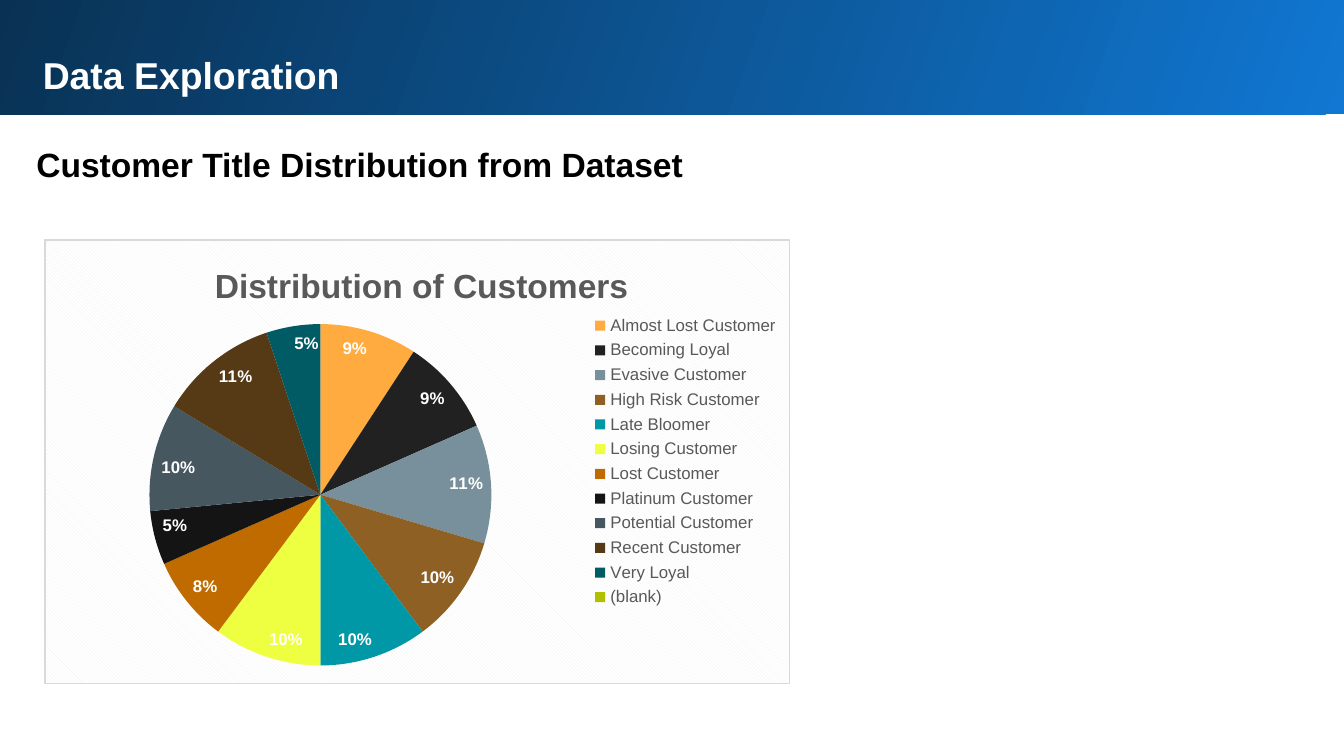
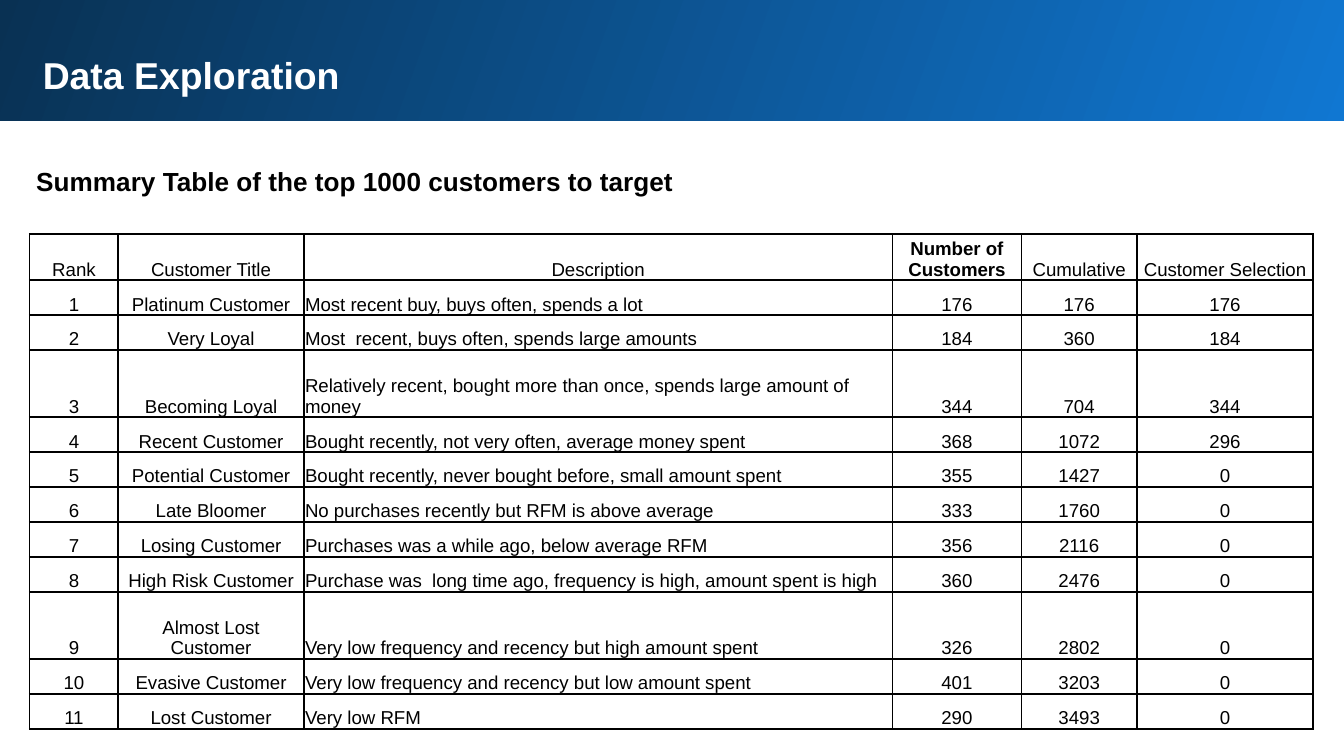
from dataclasses import dataclass
from itertools import accumulate
from typing import Any, NamedTuple

from lxml.etree import SubElement
from pptx import Presentation
from pptx.chart.data import CategoryChartData as ChartData
from pptx.dml.color import RGBColor
from pptx.enum.chart import XL_CHART_TYPE as ChartType
from pptx.enum.chart import XL_LABEL_POSITION as LabelPosition
from pptx.enum.chart import XL_LEGEND_POSITION as LegendPosition
from pptx.enum.dml import MSO_PATTERN as Pattern
from pptx.enum.shapes import MSO_SHAPE as Shape
from pptx.enum.text import MSO_ANCHOR as Anchor
from pptx.enum.text import MSO_AUTO_SIZE as AutoSize
from pptx.enum.text import PP_ALIGN as Align
from pptx.oxml import parse_xml
from pptx.oxml.ns import nsdecls, qn
from pptx.slide import Slide
from pptx.util import Inches, Pt

WHITE = RGBColor(0xFF, 0xFF, 0xFF)
BLACK = RGBColor(0x00, 0x00, 0x00)
GREY = RGBColor(0x59, 0x59, 0x59)
PALE = RGBColor(0xF2, 0xF2, 0xF2)
FRAME = RGBColor(0xD9, 0xD9, 0xD9)
BRIGHT = RGBColor(0x10, 0x77, 0xD2)
NAVY = RGBColor(0x09, 0x31, 0x53)

FONT = "Arial"
GRID = Inches(0.1)
COLUMNS, ROWS = 100, 56.25
TARGET = 1000


class Area(NamedTuple):
    left: float
    top: float
    width: float
    height: float

    def lengths(self) -> list[int]:
        return [round(cells * GRID) for cells in self]


class Share(NamedTuple):
    x: float
    y: float
    w: float | None = None
    h: float | None = None


class Slice(NamedTuple):
    title: str
    percent: int | None
    color: RGBColor


class Segment(NamedTuple):
    title: str
    description: str
    customers: int
    tall: bool = False


@dataclass(frozen=True)
class Text:
    words: str
    area: Area
    size: float
    color: RGBColor = BLACK
    inset: float = 0.5


HEADING = Text("Data Exploration", Area(2.2, 2.9, 93.7, 5.1), 20, WHITE, 1)

SLICES = [
    Slice("Almost Lost Customer", 9, RGBColor(0xFF, 0xAB, 0x40)),
    Slice("Becoming Loyal", 9, RGBColor(0x21, 0x21, 0x21)),
    Slice("Evasive Customer", 11, RGBColor(0x78, 0x90, 0x9C)),
    Slice("High Risk Customer", 10, RGBColor(0x8F, 0x60, 0x24)),
    Slice("Late Bloomer", 10, RGBColor(0x00, 0x97, 0xA7)),
    Slice("Losing Customer", 10, RGBColor(0xEE, 0xFF, 0x41)),
    Slice("Lost Customer", 8, RGBColor(0xBF, 0x6B, 0x00)),
    Slice("Platinum Customer", 5, RGBColor(0x14, 0x14, 0x14)),
    Slice("Potential Customer", 10, RGBColor(0x46, 0x57, 0x60)),
    Slice("Recent Customer", 11, RGBColor(0x56, 0x3A, 0x16)),
    Slice("Very Loyal", 5, RGBColor(0x00, 0x5B, 0x64)),
    Slice("(blank)", None, RGBColor(0xAF, 0xC0, 0x00)),
]

HEADERS = ["Rank", "Customer Title", "Description", "Number of Customers",
           "Cumulative", "Customer Selection"]
WIDTHS = [6.6, 13.8, 43.8, 9.6, 8.6, 13.1]
DESCRIPTION, NUMBER = 2, 3
ROW, TALL_ROW = 2.6, 5
SEGMENTS = [
    Segment("Platinum Customer", "Most recent buy, buys often, spends a lot", 176),
    Segment("Very Loyal", "Most  recent, buys often, spends large amounts", 184),
    Segment("Becoming Loyal", "Relatively recent, bought more than once, "
            "spends large amount of money", 344, True),
    Segment("Recent Customer", "Bought recently, not very often, average money spent", 368),
    Segment("Potential Customer", "Bought recently, never bought before, "
            "small amount spent", 355),
    Segment("Late Bloomer", "No purchases recently but RFM is above average", 333),
    Segment("Losing Customer", "Purchases was a while ago, below average RFM", 356),
    Segment("High Risk Customer", "Purchase was  long time ago, frequency is high, "
            "amount spent is high", 360),
    Segment("Almost Lost Customer", "Very low frequency and recency but "
            "high amount spent", 326, True),
    Segment("Evasive Customer", "Very low frequency and recency but low amount spent", 401),
    Segment("Lost Customer", "Very low RFM", 290),
]


def assign(target: Any, values: dict[str, Any]) -> None:
    for name, value in values.items():
        setattr(target, name, value)


def style(font: Any, size: float, color: RGBColor, bold: bool = False) -> None:
    assign(font, {"name": FONT, "size": Pt(size), "bold": bold})
    font.color.rgb = color


def margins(inset: float, bottom: float) -> dict[str, int]:
    sides = {f"margin_{side}": round(inset * GRID) for side in ("left", "top", "right")}
    return sides | {"margin_bottom": round(bottom * GRID)}


def draw_text(page: Slide, text: Text) -> None:
    frame = page.shapes.add_textbox(*text.area.lengths()).text_frame
    assign(frame, margins(text.inset, text.inset)
           | {"word_wrap": True, "auto_size": AutoSize.SHAPE_TO_FIT_TEXT})
    span = frame.paragraphs[0].add_run()
    span.text = text.words
    style(span.font, text.size, text.color, True)


def draw_header(page: Slide, top: float) -> None:
    band = page.shapes.add_shape(Shape.RECTANGLE, *Area(-0.2, top, 100.5, 9.2).lengths())
    band.shadow.inherit = False
    band.line.fill.background()
    band.fill.gradient()
    band.fill.gradient_angle = 160
    for stop, color, position in zip(band.fill.gradient_stops, (BRIGHT, NAVY), (0, 1)):
        stop.color.rgb = color
        stop.position = position
    draw_text(page, HEADING)


def place(element: Any, share: Share, inner: bool = False) -> None:
    for old in element.findall(qn("c:layout")):
        element.remove(old)
    layout = parse_xml(f"<c:layout {nsdecls('c')}/>")
    manual = SubElement(layout, qn("c:manualLayout"))
    if inner:
        SubElement(manual, qn("c:layoutTarget")).set("val", "inner")
    for mode in ("xMode", "yMode"):
        SubElement(manual, qn(f"c:{mode}")).set("val", "edge")
    for name, value in share._asdict().items():
        if value is not None:
            SubElement(manual, qn(f"c:{name}")).set("val", str(value))
    if inner:
        element.insert(0, layout)
    else:
        before = element.find(qn("c:overlay"))
        before.addprevious(layout)


def frame_chart(chart: Any) -> None:
    properties = parse_xml(
        f"<c:spPr {nsdecls('c', 'a')}>"
        f'<a:pattFill prst="dkDnDiag"><a:fgClr><a:srgbClr val="{PALE}"/></a:fgClr>'
        f'<a:bgClr><a:srgbClr val="{WHITE}"/></a:bgClr></a:pattFill>'
        f'<a:ln w="{Pt(0.75)}"><a:solidFill><a:srgbClr val="{FRAME}"/></a:solidFill></a:ln>'
        "</c:spPr>")
    chart._chartSpace.find(qn("c:chart")).addnext(properties)


def draw_pie(page: Slide, area: Area) -> None:
    data = ChartData()
    data.categories = [part.title for part in SLICES]
    data.add_series("Series 1", [part.percent for part in SLICES])
    chart = page.shapes.add_chart(ChartType.PIE, *area.lengths(), data).chart
    style(chart.font, 10, BLACK)
    frame_chart(chart)

    chart.has_title = True
    title = chart.chart_title
    title.include_in_layout = False
    span = title.text_frame.paragraphs[0].add_run()
    span.text = "Distribution of Customers"
    style(span.font, 18, GREY, True)
    place(title._element, Share(0.22, 0.04))

    chart.has_legend = True
    assign(chart.legend, {"position": LegendPosition.RIGHT, "include_in_layout": False})
    style(chart.legend.font, 9, GREY)
    place(chart.legend._element, Share(0.73, 0.16, 0.26, 0.68))

    plot = chart.plots[0]
    plot.vary_by_categories = True
    place(chart._chartSpace.find(".//" + qn("c:plotArea")),
          Share(0.14, 0.19, 0.46, 0.77), True)
    series = plot.series[0]
    for index, part in enumerate(SLICES):
        fill = series.points[index].format.fill
        fill.solid()
        fill.fore_color.rgb = part.color
    labels = series.data_labels
    assign(labels, {"show_percentage": True, "show_value": False,
                    "number_format": "0%", "number_format_is_linked": False,
                    "position": LabelPosition.INSIDE_END})
    style(labels.font, 9, WHITE, True)


def border(cell: Any) -> None:
    properties = cell._tc.get_or_add_tcPr()
    for index, side in enumerate(("lnL", "lnR", "lnT", "lnB")):
        properties.insert(index, parse_xml(
            f'<a:{side} {nsdecls("a")} w="{Pt(1)}"><a:solidFill>'
            f'<a:srgbClr val="{BLACK}"/></a:solidFill></a:{side}>'))


def table_rows() -> list[list[str]]:
    rows = [HEADERS]
    totals = accumulate(segment.customers for segment in SEGMENTS)
    for rank, (segment, total) in enumerate(zip(SEGMENTS, totals), 1):
        room = max(0, TARGET - total + segment.customers)
        selected = min(segment.customers, room)
        rows.append([str(rank), segment.title, segment.description,
                     str(segment.customers), str(total), str(selected)])
    return rows


def draw_table(page: Slide, left: float, top: float) -> None:
    rows = table_rows()
    heights = [ROW] + [TALL_ROW if segment.tall else ROW for segment in SEGMENTS]
    area = Area(left, top, sum(WIDTHS), sum(heights))
    table = page.shapes.add_table(len(rows), len(HEADERS), *area.lengths()).table
    assign(table, {"first_row": False, "horz_banding": False})
    for column, width in zip(table.columns, WIDTHS):
        column.width = round(width * GRID)
    for row, height in zip(table.rows, heights):
        row.height = round(height * GRID)
    for y, values in enumerate(rows):
        for x, value in enumerate(values):
            cell = table.cell(y, x)
            assign(cell, margins(0.1, 0) | {"vertical_anchor": Anchor.BOTTOM})
            cell.fill.background()
            border(cell)
            para = cell.text_frame.paragraphs[0]
            para.alignment = Align.LEFT if y and x == DESCRIPTION else Align.CENTER
            span = para.add_run()
            span.text = value
            style(span.font, 10, BLACK, y == 0 and x == NUMBER)


def add_page(deck: Any, band_top: float) -> Slide:
    page = deck.slides.add_slide(deck.slide_layouts[6])
    draw_header(page, band_top)
    return page


def build() -> None:
    deck = Presentation()
    assign(deck, {"slide_width": COLUMNS * GRID, "slide_height": round(ROWS * GRID)})

    page = add_page(deck, -0.7)
    draw_pie(page, Area(3.3, 17.8, 55.5, 33.1))
    draw_text(page, Text("Customer Title Distribution from Dataset",
                         Area(2.2, 10.2, 61.1, 4), 18))

    page = add_page(deck, -0.2)
    draw_table(page, 2.2, 17.4)
    draw_text(page, Text("Summary Table of the top 1000 customers to target",
                         Area(2.2, 11.8, 86.7, 3.4), 14))
    deck.save("out.pptx")


build()
